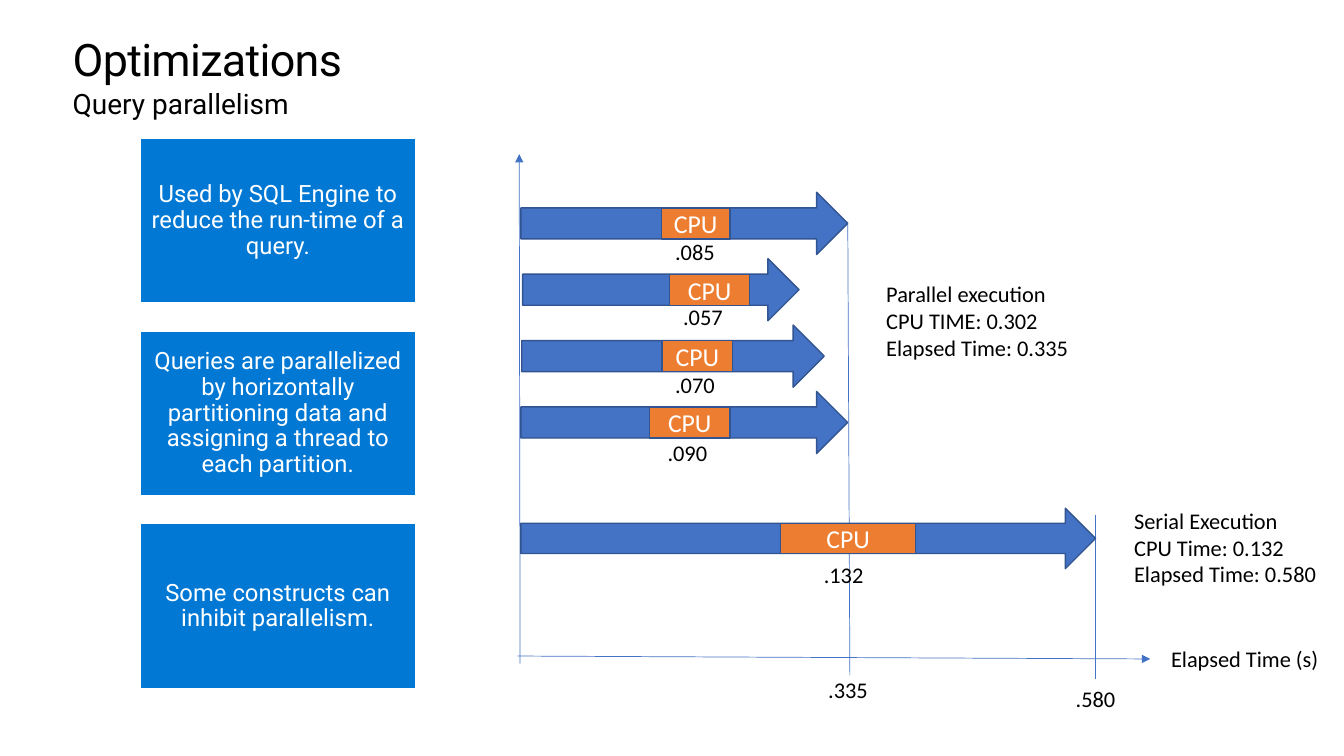
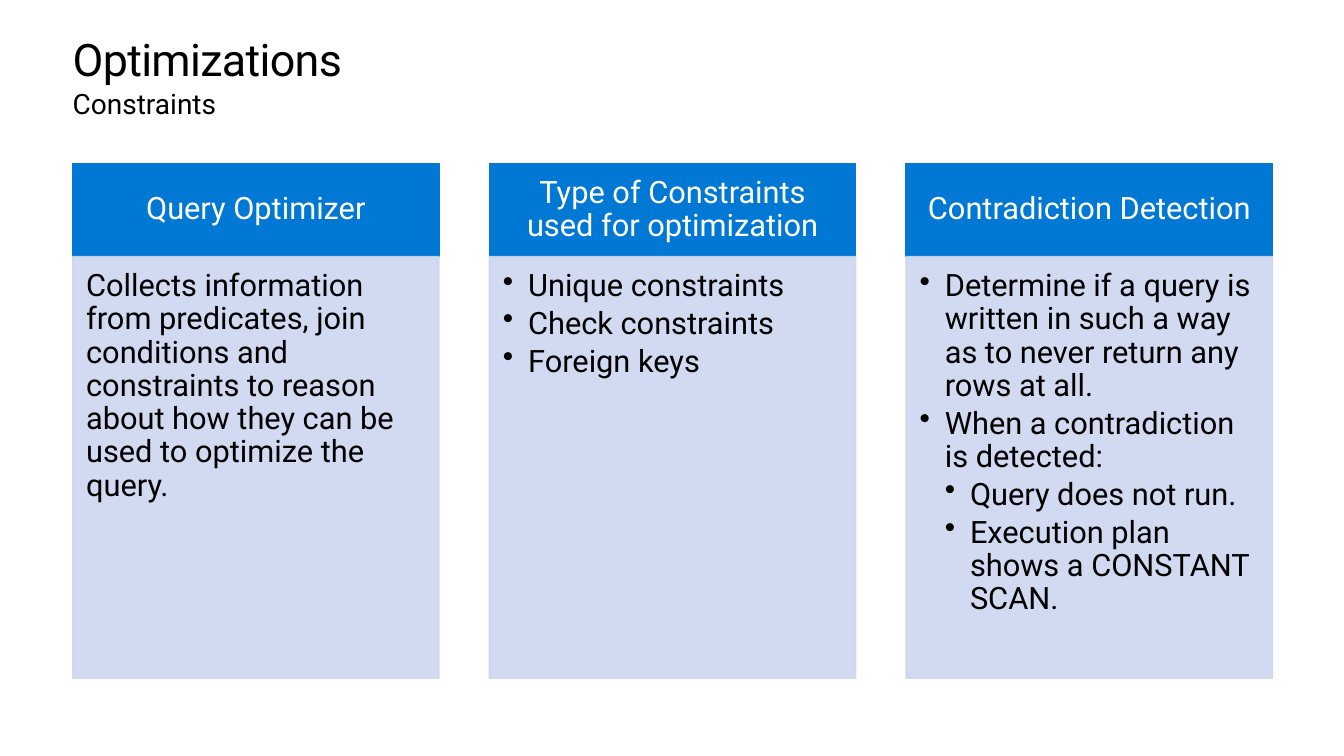
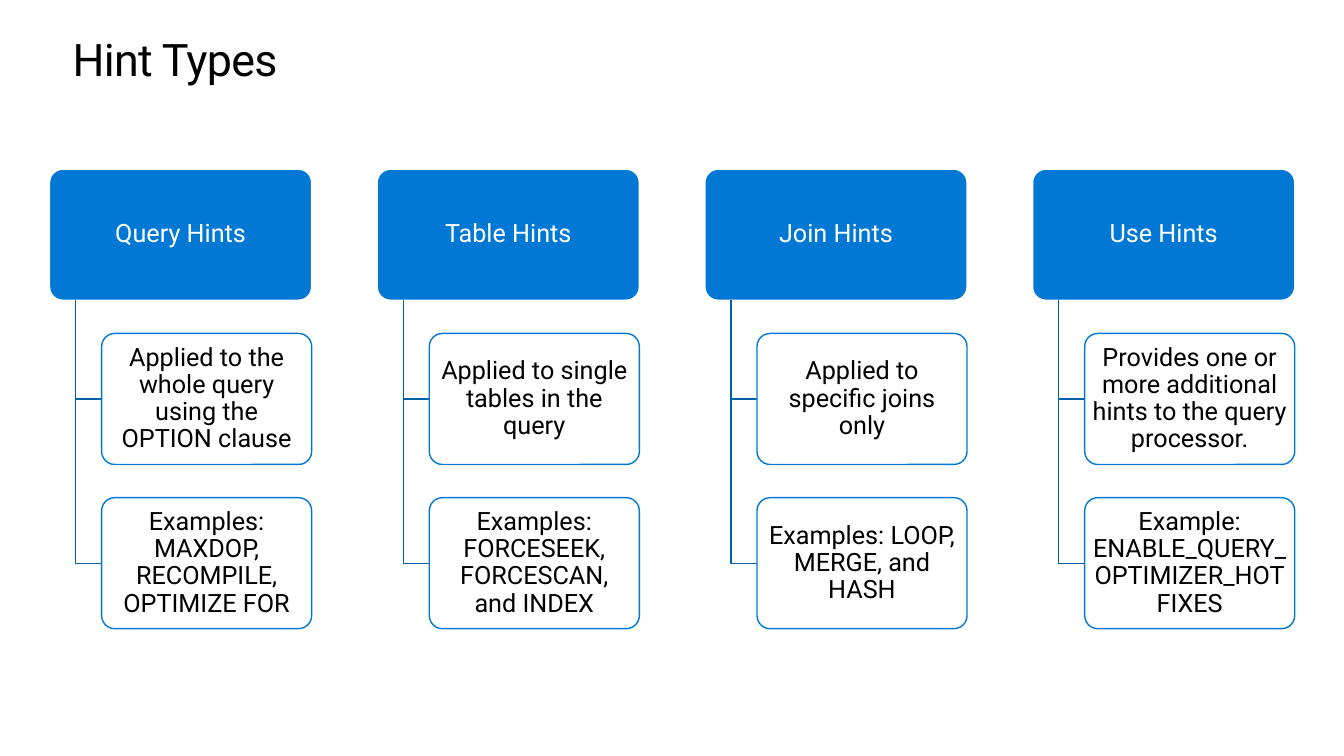
from lxml.etree import SubElement
from pptx import Presentation
from pptx.dml.color import RGBColor
from pptx.enum.shapes import MSO_CONNECTOR, MSO_SHAPE
from pptx.enum.text import MSO_ANCHOR, MSO_AUTO_SIZE, PP_ALIGN
from pptx.oxml.ns import qn
from pptx.util import Inches, Pt

WIDTH, HEIGHT = Inches(13.33), Inches(7.5)
CELL = HEIGHT / 90  # grid of 160 columns by 90 rows

HEADING_FONT, CHART_FONT = "Roboto", "Calibri"
BLACK, WHITE = "000000", "FFFFFF"
BRAND, PALE, TREE_LINE = "0078D4", "CCD6EF", "0060AA"
BAR, BAR_EDGE, CPU_FILL = "4472C4", "325491", "ED7D31"


def rgb(hex_colour):
    return RGBColor.from_string(hex_colour)


def cells(*counts):
    return [round(count * CELL) for count in counts]


def set_opacity(colour_format, percent):
    """Make the solid colour of a fill or line element partly transparent."""
    colour = colour_format.find(".//" + qn("a:srgbClr"))
    SubElement(colour, qn("a:alpha"), val=str(percent * 1000))


def add_bullet(paragraph, level):
    properties = paragraph._p.get_or_add_pPr()
    properties.set("marL", str(Inches(0.25 * level)))
    properties.set("indent", str(-Inches(0.25)))
    SubElement(properties, qn("a:buChar"), char="•")


def write(frame, lines, font=HEADING_FONT, size=18, colour=BLACK, align=PP_ALIGN.LEFT,
          anchor=MSO_ANCHOR.TOP, insets=(1.2, 0.6, 1.2, 0.6), spacing=None,
          after=0, tracking=None, wrap=True):
    """Fill a frame; a line is a string or a (string, bullet level) pair."""
    frame.word_wrap = wrap
    frame.auto_size = MSO_AUTO_SIZE.NONE
    frame.vertical_anchor = anchor
    (frame.margin_left, frame.margin_top,
     frame.margin_right, frame.margin_bottom) = cells(*insets)
    lines = [lines] if isinstance(lines, str) else lines
    for number, line in enumerate(lines):
        words, level = (line, 0) if isinstance(line, str) else line
        paragraph = frame.add_paragraph() if number else frame.paragraphs[0]
        paragraph.alignment = align
        paragraph.space_before = Pt(0)
        paragraph.space_after = Pt(after)
        if spacing:
            paragraph.line_spacing = spacing
        if level:
            add_bullet(paragraph, level)
        run = paragraph.add_run()
        run.text = words
        run.font.name, run.font.size = font, Pt(size)
        run.font.color.rgb = rgb(colour)
        if tracking:
            run._r.get_or_add_rPr().set("spc", str(tracking))


class Deck:
    def __init__(self):
        self.presentation = Presentation()
        self.presentation.slide_width = WIDTH
        self.presentation.slide_height = HEIGHT
        self.slide = None

    def new_slide(self, title, subtitle=None):
        layout = self.presentation.slide_layouts[5]
        self.slide = self.presentation.slides.add_slide(layout)
        heading = self.slide.shapes.title
        heading.left, heading.top, heading.width, heading.height = cells(8.65, 4.2, 142.8, 6)
        write(heading.text_frame, title, size=32, insets=(0, 0, 0, 0),
              spacing=Pt(36.2), tracking=-50)
        if subtitle:
            self.label(subtitle, 8.65, 10.3, 142.8, 6, size=20, insets=(0, 0, 0, 0))

    def label(self, lines, left, top, width, height=4.4, **style):
        box = self.slide.shapes.add_textbox(*cells(left, top, width, height))
        write(box.text_frame, lines, **style)

    def block(self, kind, left, top, width, height, fill, edge, lines=None,
              corner=None, opacity=None, edge_opacity=None, **style):
        shape = self.slide.shapes.add_shape(kind, *cells(left, top, width, height))
        shape.shadow.inherit = False
        shape.fill.solid()
        shape.fill.fore_color.rgb = rgb(fill)
        shape.line.color.rgb = rgb(edge)
        shape.line.width = Pt(1)
        if corner:
            shape.adjustments[0] = corner
        if opacity:
            set_opacity(shape._element.spPr.find(qn("a:solidFill")), opacity)
        if edge_opacity:
            set_opacity(shape._element.spPr.find(qn("a:ln")), edge_opacity)
        if lines:
            write(shape.text_frame, lines, **style)

    def line(self, x1, y1, x2, y2, arrow=False):
        connector = self.slide.shapes.add_connector(
            MSO_CONNECTOR.STRAIGHT, *cells(x1, y1, x2, y2))
        connector.line.color.rgb = rgb(BAR)
        connector.line.width = Pt(0.5)
        if arrow:
            SubElement(connector.line._get_or_add_ln(), qn("a:tailEnd"), type="triangle")
        SubElement(connector._element.spPr, qn("a:effectLst"))

    def branch(self, x, y, end_x, end_y):
        """Draw a tree branch: down from (x, y), then across to the end."""
        outline = self.slide.shapes.build_freeform(*cells(x, y))
        outline.add_line_segments([cells(x, end_y), cells(end_x, end_y)], close=False)
        shape = outline.convert_to_shape()
        shape.shadow.inherit = False
        shape.fill.background()
        shape.line.color.rgb = rgb(TREE_LINE)
        shape.line.width = Pt(1)

    def timing_bar(self, top, height, left, width, cpu_left, cpu_width, time, time_mid, time_top):
        self.block(MSO_SHAPE.RIGHT_ARROW, left, top, width, height, BAR, BAR_EDGE)
        self.block(MSO_SHAPE.RECTANGLE, cpu_left, top + height / 4, cpu_width, height / 2,
                   CPU_FILL, BAR_EDGE, "CPU", font=CHART_FONT, size=18.4, colour=WHITE,
                   align=PP_ALIGN.CENTER, anchor=MSO_ANCHOR.MIDDLE)
        self.label(time, time_mid - 5, time_top, 10, font=CHART_FONT, size=16,
                   align=PP_ALIGN.CENTER)


CENTRED = dict(align=PP_ALIGN.CENTER, anchor=MSO_ANCHOR.MIDDLE, spacing=0.9)


def parallelism_slide(deck):
    deck.new_slide("Optimizations", "Query parallelism")
    deck.line(61.9, 79, 61.8, 18.35, arrow=True)
    deck.line(61.6, 78.1, 136.9, 78.45, arrow=True)
    deck.line(130.4, 61.3, 130.4, 80.8)
    deck.line(100.9, 26.4, 101.15, 80.4)

    threads = [
        (62, 38.9, 78.7, 8.2, ".085", 82.7, 27.8),
        (62.2, 32.9, 79.7, 9.5, ".057", 83.65, 35.5),
        (62.1, 36, 78.8, 8.4, ".070", 82.7, 43.6),
        (62, 38.9, 77.3, 9.6, ".090", 81.8, 51.7),
    ]
    for row, thread in enumerate(threads):
        deck.timing_bar(22.9 + 7.9 * row, 7.4, *thread)
    deck.timing_bar(60.5, 7.2, 62, 68.4, 92.9, 16.1, ".132", 100.4, 66.2)

    facts = [
        "Used by SQL Engine to reduce the run-time of a query.",
        "Queries are parallelized by horizontally partitioning data and "
        "assigning a thread to each partition.",
        "Some constructs can inhibit parallelism.",
    ]
    for row, fact in enumerate(facts):
        deck.block(MSO_SHAPE.RECTANGLE, 16.7, 16.45 + 22.95 * row, 32.75, 19.65,
                   BRAND, WHITE, fact, size=17, colour=WHITE, insets=(0.85,) * 4, **CENTRED)

    chart_text = dict(font=CHART_FONT, size=16)
    deck.label("Elapsed Time (s)", 138.2, 76.2, 20.4, **chart_text)
    deck.label(["Serial Execution", "CPU Time: 0.132", "Elapsed Time: 0.580"],
               133.8, 59.75, 24.6, 10.9, **chart_text)
    deck.label(["Parallel execution", "CPU TIME: 0.302", "Elapsed Time: 0.335"],
               104.3, 32.75, 28.1, 10.9, **chart_text)
    deck.label(".580", 126.85, 81, 7.2, wrap=False, **chart_text)
    deck.label(".335", 97.4, 79.9, 7.2, wrap=False, **chart_text)


def constraints_slide(deck):
    deck.new_slide("Optimizations", "Constraints")
    topics = [
        ("Query Optimizer", [
            "Collects information from predicates, join conditions and constraints "
            "to reason about how they can be used to optimize the query."]),
        ("Type of Constraints used for optimization", [
            ("Unique constraints", 1), ("Check constraints", 1), ("Foreign keys", 1)]),
        ("Contradiction Detection", [
            ("Determine if a query is written in such a way as to never return "
             "any rows at all.", 1),
            ("When a contradiction is detected:", 1),
            ("Query does not run.", 2),
            ("Execution plan shows a CONSTANT SCAN.", 2)]),
    ]
    for column, (topic, details) in enumerate(topics):
        left = 8.65 + 49.6 * column
        deck.block(MSO_SHAPE.RECTANGLE, left, 19.45, 43.6, 11.1, BRAND, BRAND, topic,
                   size=22, colour=WHITE, insets=(2, 1.2, 2, 1.2), **CENTRED)
        deck.block(MSO_SHAPE.RECTANGLE, left, 30.55, 43.6, 50.2, PALE, PALE, details,
                   opacity=90, edge_opacity=90, size=22, insets=(1.6, 1.6, 2, 2.3),
                   spacing=0.9, after=3.3)


def hints_slide(deck):
    deck.new_slide("Hint Types")
    hints = [
        ("Query Hints", "Applied to the whole query using the OPTION clause",
         "Examples: MAXDOP, RECOMPILE, OPTIMIZE FOR"),
        ("Table Hints", "Applied to single tables in the query",
         "Examples: FORCESEEK, FORCESCAN, and INDEX"),
        ("Join Hints", "Applied to specific joins only",
         "Examples: LOOP, MERGE, and HASH"),
        ("Use Hints", "Provides one or more additional hints to the query processor.",
         "Example: ENABLE_QUERY_OPTIMIZER_HOTFIXES"),
    ]
    top, height, pitch = 20.15, 15.6, 19.55
    rounded = dict(corner=0.1, insets=(0.45, 0.4, 0.45, 0.4), **CENTRED)
    for column, (hint, *details) in enumerate(hints):
        left = 5.9 + 39 * column
        deck.block(MSO_SHAPE.ROUNDED_RECTANGLE, left, top, 31.2, height,
                   BRAND, WHITE, hint, colour=WHITE, **rounded)
        for row, detail in enumerate(details, start=1):
            detail_top = top + pitch * row
            deck.branch(left + 3.1, top + height, left + 6.2, detail_top + height / 2)
            deck.block(MSO_SHAPE.ROUNDED_RECTANGLE, left + 6.2, detail_top, 25, height,
                       WHITE, BRAND, detail, opacity=90, **rounded)


def main():
    deck = Deck()
    parallelism_slide(deck)
    constraints_slide(deck)
    hints_slide(deck)
    deck.presentation.save("out.pptx")


if __name__ == "__main__":
    main()
